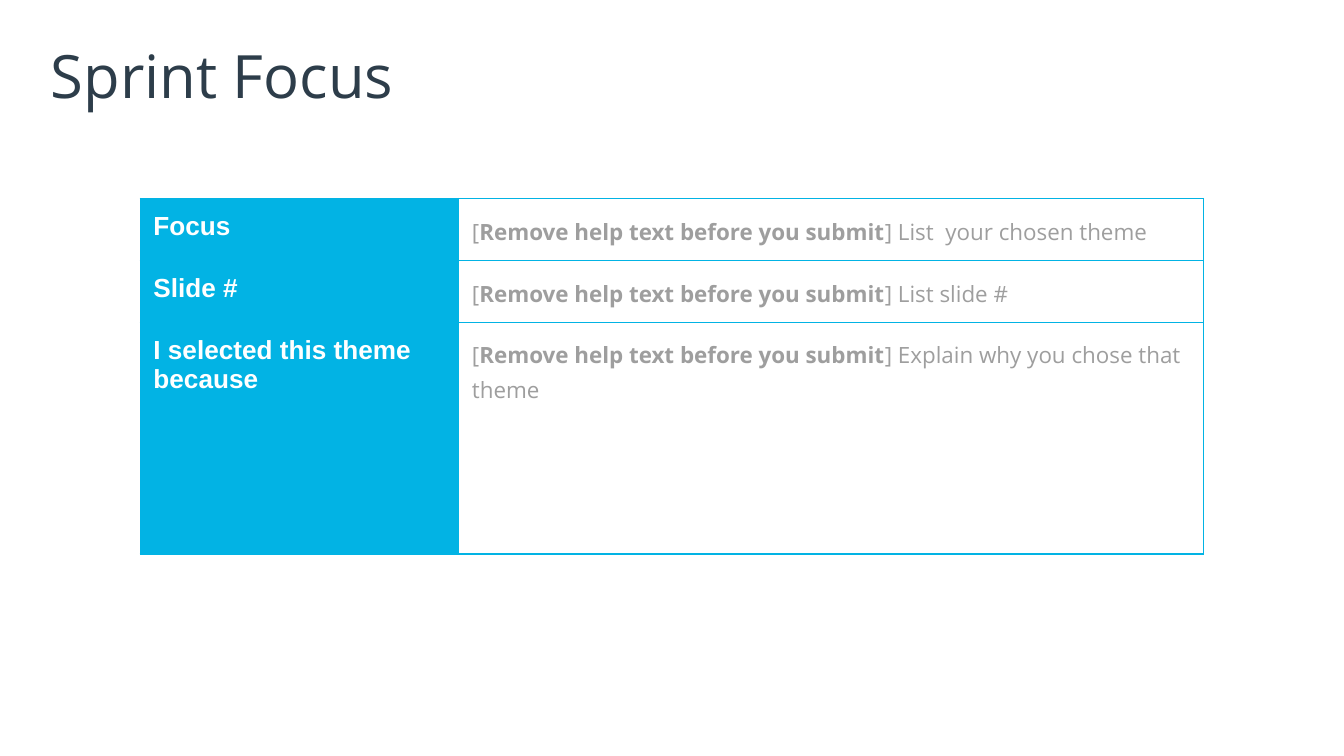
"""Build the Sprint Focus slide with its table of theme prompts."""
from dataclasses import dataclass

from lxml.etree import SubElement
from pptx import Presentation
from pptx.dml.color import RGBColor as RGB
from pptx.enum.text import MSO_ANCHOR as Anchor
from pptx.oxml.ns import qn
from pptx.slide import Slide
from pptx.table import _Cell as Cell
from pptx.text.text import _Paragraph as Paragraph
from pptx.util import Cm, Pt


@dataclass(frozen=True)
class TextStyle:
    name: str
    size: int
    color: str
    bold: bool = False


@dataclass(frozen=True)
class Theme:
    accent: str = "02B3E4"
    border: float = 0.75
    cell_inset: float = 0.25
    title_inset: float = 0.1
    help_spacing: float = 1.15
    title: TextStyle = TextStyle("Open Sans", 32, "2D3D4A")
    label: TextStyle = TextStyle("Arial", 14, "FFFFFF", True)
    help: TextStyle = TextStyle("Open Sans", 12, "9E9E9E")
    help_bold: TextStyle = TextStyle("Open Sans", 12, "9E9E9E", True)


@dataclass(frozen=True)
class FocusRow:
    label: str
    hint: str
    height: float


THEME = Theme()
REMINDER = "Remove help text before you submit"
COLUMNS = (6.02, 14.07)
ROWS = (
    FocusRow("Focus", "List  your chosen theme", 1.17),
    FocusRow("Slide #", "List slide #", 1.17),
    FocusRow("I selected this theme because", "Explain why you chose that theme", 4.38),
)


def set_attrs(obj: object, values: dict) -> None:
    """Set each named attribute of an object."""
    for name, value in values.items():
        setattr(obj, name, value)


def margins(inset: float) -> dict:
    """Return equal margins for the four sides."""
    return {f"margin_{side}": Cm(inset) for side in ("left", "top", "right", "bottom")}


def add_run(p: Paragraph, text: str, style: TextStyle) -> None:
    """Add a styled run to a paragraph."""
    r = p.add_run()
    r.text = text
    set_attrs(r.font, {"name": style.name, "size": Pt(style.size), "bold": style.bold})
    r.font.color.rgb = RGB.from_string(style.color)


def add_title(s: Slide, text: str) -> None:
    """Add the slide title."""
    tf = s.shapes.add_textbox(Cm(0.86), Cm(0.61), Cm(23.67), Cm(1.6)).text_frame
    set_attrs(tf, {"word_wrap": True, "vertical_anchor": Anchor.MIDDLE,
                   **margins(THEME.title_inset)})
    add_run(tf.paragraphs[0], text, THEME.title)


def format_cell(cell: Cell) -> None:
    """Give a cell its margins and borders."""
    set_attrs(cell, margins(THEME.cell_inset))
    tc_pr = cell._tc.get_or_add_tcPr()
    for side in ("lnL", "lnR", "lnT", "lnB"):
        ln = SubElement(tc_pr, qn(f"a:{side}"), w=str(Pt(THEME.border)))
        fill = SubElement(ln, qn("a:solidFill"))
        SubElement(fill, qn("a:srgbClr"), val=THEME.accent)


def fill_label(cell: Cell, text: str) -> None:
    """Write a row label on the accent colour."""
    format_cell(cell)
    cell.fill.solid()
    cell.fill.fore_color.rgb = RGB.from_string(THEME.accent)
    add_run(cell.text_frame.paragraphs[0], text, THEME.label)


def fill_hint(cell: Cell, hint: str) -> None:
    """Write the help text with its bold reminder."""
    format_cell(cell)
    cell.fill.background()
    p = cell.text_frame.paragraphs[0]
    p.line_spacing = THEME.help_spacing
    add_run(p, "[", THEME.help)
    add_run(p, REMINDER, THEME.help_bold)
    add_run(p, f"] {hint}", THEME.help)


def add_focus_table(s: Slide, rows: tuple[FocusRow, ...]) -> None:
    """Add the table of labels and help texts."""
    width, height = sum(COLUMNS), sum(row.height for row in rows)
    table = s.shapes.add_table(len(rows), len(COLUMNS), Cm(2.65), Cm(3.75),
                               Cm(width), Cm(height)).table
    set_attrs(table, {"first_row": False, "horz_banding": False})
    for column, size in zip(table.columns, COLUMNS):
        column.width = Cm(size)
    for i, row in enumerate(rows):
        table.rows[i].height = Cm(row.height)
        fill_label(table.cell(i, 0), row.label)
        fill_hint(table.cell(i, 1), row.hint)


def main() -> None:
    """Build and save the presentation."""
    prs = Presentation()
    set_attrs(prs, {"slide_width": Cm(25.4), "slide_height": Cm(14.29)})
    s = prs.slides.add_slide(prs.slide_layouts[6])
    add_title(s, "Sprint Focus")
    add_focus_table(s, ROWS)
    prs.save("out.pptx")


if __name__ == "__main__":
    main()
